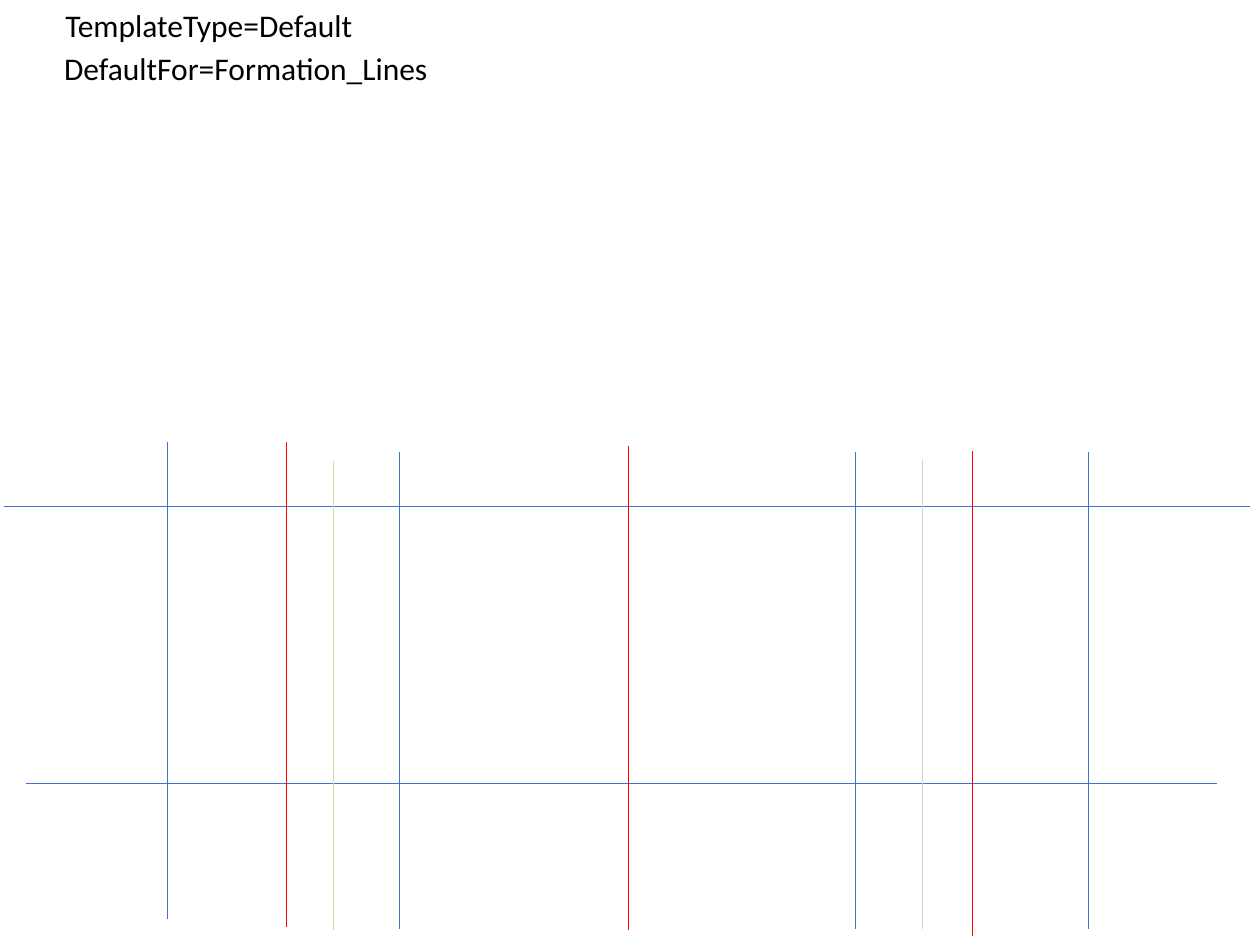
from pptx import Presentation
from pptx.dml.color import RGBColor
from pptx.enum.shapes import MSO_CONNECTOR
from pptx.enum.text import MSO_AUTO_SIZE
from pptx.oxml.ns import qn
from pptx.util import Inches, Pt
from lxml import etree

STRAIGHT = MSO_CONNECTOR.STRAIGHT
FIT_SHAPE = MSO_AUTO_SIZE.SHAPE_TO_FIT_TEXT
BLUE = RGBColor(0x44, 0x72, 0xC4)
RED = RGBColor(0xFF, 0x00, 0x00)
GREEN = RGBColor(0xC5, 0xE0, 0xB4)
BLACK = RGBColor(0x00, 0x00, 0x00)

deck = Presentation()
deck.slide_width = Inches(10)
deck.slide_height = Inches(7.5)
page = deck.slides.add_slide(deck.slide_layouts[6])


def add_label(text, left, top, width, height=0.4, size=18, font="Calibri", color=BLACK):
    box = page.shapes.add_textbox(Inches(left), Inches(top), Inches(width), Inches(height))
    box.text_frame.word_wrap = False
    box.text_frame.auto_size = FIT_SHAPE
    span = box.text_frame.paragraphs[0].add_run()
    span.text = text
    span.font.size = Pt(size)
    span.font.name = font
    span.font.color.rgb = color


def add_line(start_x, start_y, end_x, end_y, color):
    line = page.shapes.add_connector(
        STRAIGHT, Inches(start_x), Inches(start_y), Inches(end_x), Inches(end_y))
    line.line.color.rgb = color
    line.line.width = Pt(0.5)
    etree.SubElement(line._element.spPr, qn("a:effectLst"))


formation_lines = [
    (1.33, 3.51, 1.33, 7.29, BLUE),
    (8.64, 3.59, 8.64, 7.37, BLUE),
    (9.66, 6.22, 0.21, 6.22, BLUE),
    (3.17, 3.59, 3.17, 7.37, BLUE),
    (6.79, 3.59, 6.79, 7.37, BLUE),
    (0.03, 4.02, 9.92, 4.02, BLUE),
    (2.27, 7.36, 2.27, 3.51, RED),
    (7.72, 7.43, 7.72, 3.58, RED),
    (4.99, 7.38, 4.99, 3.54, RED),
    (7.32, 7.37, 7.32, 3.65, GREEN),
    (2.65, 7.38, 2.65, 3.66, GREEN),
]
for start_x, start_y, end_x, end_y, color in formation_lines:
    add_line(start_x, start_y, end_x, end_y, color)

add_label("DefaultFor=Formation_Lines", 0.41, 0.34, 3.12)
add_label("TemplateType=Default", 0.42, 0, 2.51)

deck.save("out.pptx")
